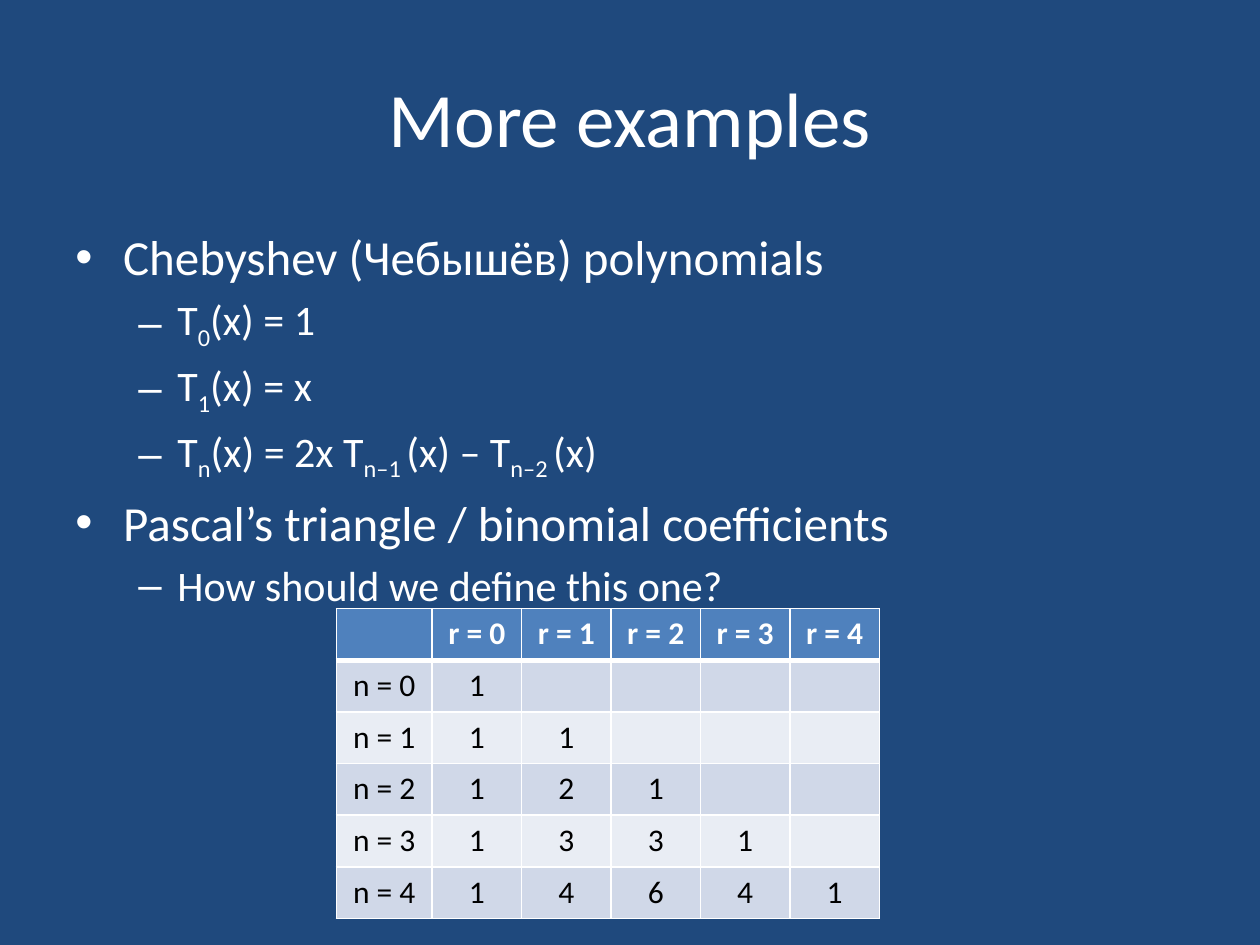
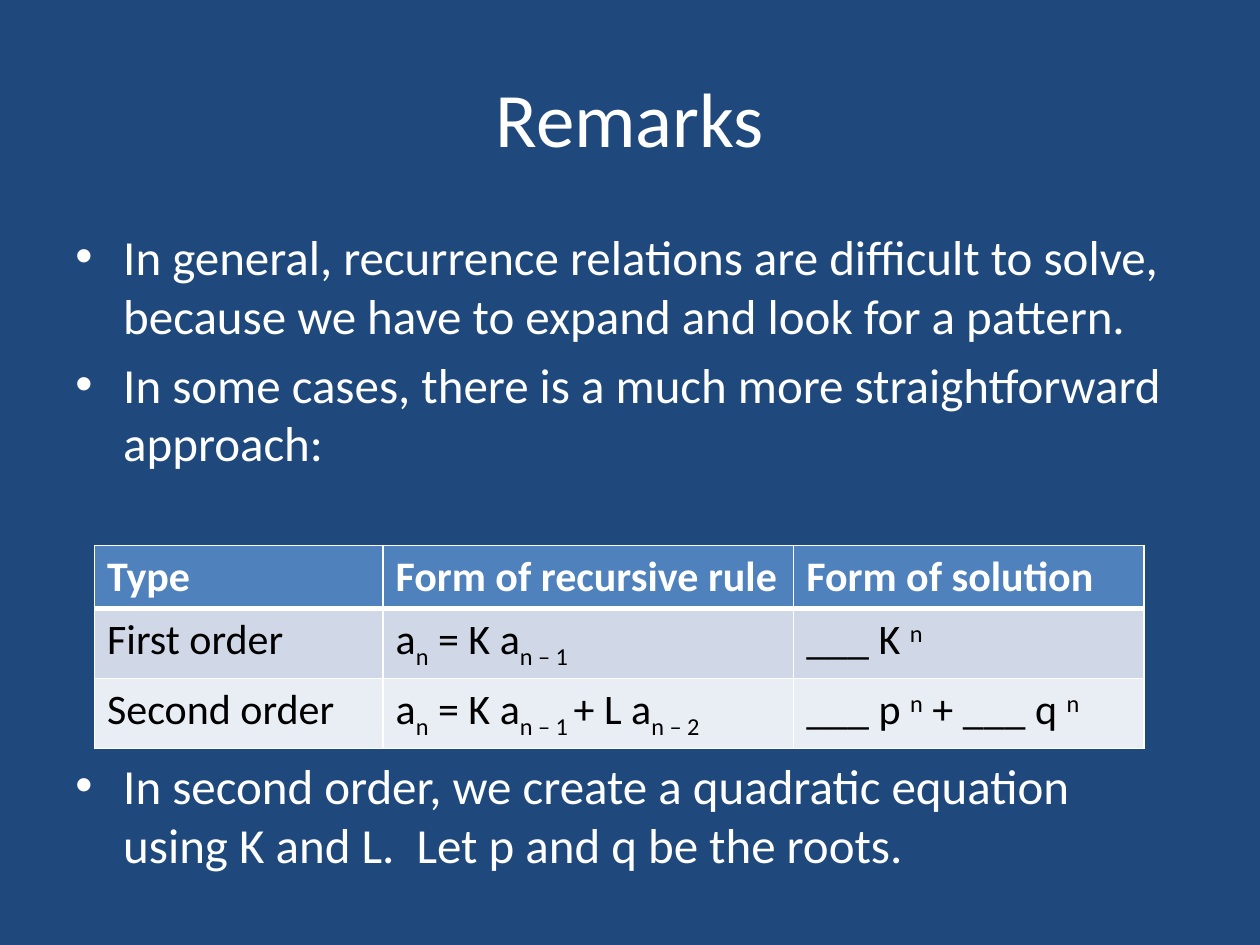
"""Build two slides on recurrence relations, each with bullets and a table."""
from dataclasses import dataclass
from math import comb

from lxml import etree
from pptx import Presentation
from pptx.dml.color import RGBColor
from pptx.enum import text as t
from pptx.oxml import ns
from pptx.util import Inches, Pt

HUES = {"back": "1F497D", "white": "FFFFFF", "black": "000000",
        "head": "4F81BD", "odd": "D0D8E8", "even": "E9EDF4"}
FACE = "Calibri"
SHIFTS = {"↓": "-25000", "↑": "30000"}


@dataclass
class Level:
    mark: str
    size: int
    left: float
    hang: float


@dataclass
class Item:
    words: str
    level: int = 0
    gap: float | None = None


@dataclass
class Grid:
    left: float
    top: float
    cols: list[float]
    row: float
    size: int
    align: t.PP_ALIGN
    cells: list[list[str]]


@dataclass
class Page:
    title: str
    height: float
    items: list[Item]
    grid: Grid


LEVELS = [Level("•", 28, 0.38, 0.38), Level("–", 24, 0.81, 0.31)]


def hue(name: str) -> RGBColor:
    return RGBColor.from_string(HUES[name])


def write(para, words: str, size: int, tint: str, bold: bool = False) -> None:
    """Fill a paragraph; parts between bars led by an arrow are sub- or superscript."""
    for part in words.split("|"):
        run = para.add_run()
        run.text = part.lstrip("↓↑")
        font = run.font
        font.size, font.name, font.bold = Pt(size), FACE, bold
        font.color.rgb = hue(tint)
        if part[:1] in SHIFTS:
            run._r.get_or_add_rPr().set("baseline", SHIFTS[part[0]])


def add_box(slide, top: float, height: float):
    box = slide.shapes.add_textbox(Inches(0.5), Inches(top), Inches(9), Inches(height))
    box.text_frame.word_wrap = True
    return box.text_frame


def add_title(slide, words: str) -> None:
    frame = add_box(slide, 0.3, 1.25)
    frame.vertical_anchor = t.MSO_ANCHOR.MIDDLE
    frame.paragraphs[0].alignment = t.PP_ALIGN.CENTER
    write(frame.paragraphs[0], words, 44, "white")


def add_items(slide, items: list[Item], height: float) -> None:
    frame = add_box(slide, 1.75, height)
    for i, item in enumerate(items):
        para = frame.add_paragraph() if i else frame.paragraphs[0]
        level = LEVELS[item.level]
        para.level = item.level
        if i:
            para.space_before = Pt(item.gap or level.size * 0.2)
        props = para._p.get_or_add_pPr()
        props.set("marL", str(Inches(level.left)))
        props.set("indent", str(-Inches(level.hang)))
        font = etree.SubElement(props, ns.qn("a:buFont"))
        font.set("typeface", "Arial")
        etree.SubElement(props, ns.qn("a:buChar")).set("char", level.mark)
        write(para, item.words, level.size, "white")


def add_edge(cell, side: str, width: int) -> None:
    line = etree.SubElement(cell._tc.get_or_add_tcPr(), ns.qn(f"a:ln{side}"))
    line.set("w", str(Pt(width)))
    fill = etree.SubElement(line, ns.qn("a:solidFill"))
    etree.SubElement(fill, ns.qn("a:srgbClr")).set("val", HUES["white"])


def add_grid(slide, grid: Grid) -> None:
    count = len(grid.cells)
    table = slide.shapes.add_table(
        count, len(grid.cols), Inches(grid.left), Inches(grid.top),
        Inches(sum(grid.cols)), Inches(grid.row * count)).table
    for col, width in zip(table.columns, grid.cols):
        col.width = Inches(width)
    for r, line in enumerate(grid.cells):
        table.rows[r].height = Inches(grid.row)
        shade = "head" if r == 0 else "odd" if r % 2 else "even"
        for c, words in enumerate(line):
            cell = table.cell(r, c)
            for side in "LRTB":
                thick = (r, side) in ((0, "B"), (1, "T"))
                add_edge(cell, side, 3 if thick else 1)
            cell.fill.solid()
            cell.fill.fore_color.rgb = hue(shade)
            para = cell.text_frame.paragraphs[0]
            para.alignment = grid.align
            if words:
                write(para, words, grid.size, "black" if r else "white", r == 0)


def add_page(prs, page: Page) -> None:
    slide = prs.slides.add_slide(prs.slide_layouts[6])
    slide.background.fill.solid()
    slide.background.fill.fore_color.rgb = hue("back")
    add_title(slide, page.title)
    add_items(slide, page.items, page.height)
    add_grid(slide, page.grid)


SPAN = range(5)
PASCAL = [[""] + [f"r = {r}" for r in SPAN]] + [
    [f"n = {n}"] + [str(comb(n, r)) if r <= n else "" for r in SPAN] for n in SPAN]

RULES = [
    ["Type", "Form of recursive rule", "Form of solution"],
    ["First order", "a|↓n| = K a|↓n – 1", "___ K |↑n"],
    ["Second order", "a|↓n| = K a|↓n – 1 |+ L a|↓n – 2", "___ p |↑n| + ___ q |↑n"],
]

PAGES = [
    Page("More examples", 4.95, [
        Item("Chebyshev (Чебышёв) polynomials"),
        Item("T|↓0|(x) = 1", 1),
        Item("T|↓1|(x) = x", 1),
        Item("T|↓n|(x) = 2x T|↓n–1 |(x) – T|↓n–2 |(x)", 1),
        Item("Pascal’s triangle / binomial coefficients"),
        Item("How should we define this one?", 1),
    ], Grid(2.67, 4.83, [0.76] + [0.71] * 5, 0.41, 18, t.PP_ALIGN.CENTER, PASCAL)),
    Page("Remarks", 5.33, [
        Item("In general, recurrence relations are difficult to solve, "
             "because we have to expand and look for a pattern."),
        Item("In some cases, there is a much more straightforward approach:"),
        Item("In second order, we create a quadratic equation using K and L.  "
             "Let p and q be the roots.", gap=162),
    ], Grid(0.75, 4.33, [2.29, 3.26, 2.78], 0.5, 24, t.PP_ALIGN.LEFT, RULES)),
]


def main() -> None:
    prs = Presentation()
    prs.slide_width, prs.slide_height = Inches(10), Inches(7.5)
    for page in PAGES:
        add_page(prs, page)
    prs.save("out.pptx")


if __name__ == "__main__":
    main()
